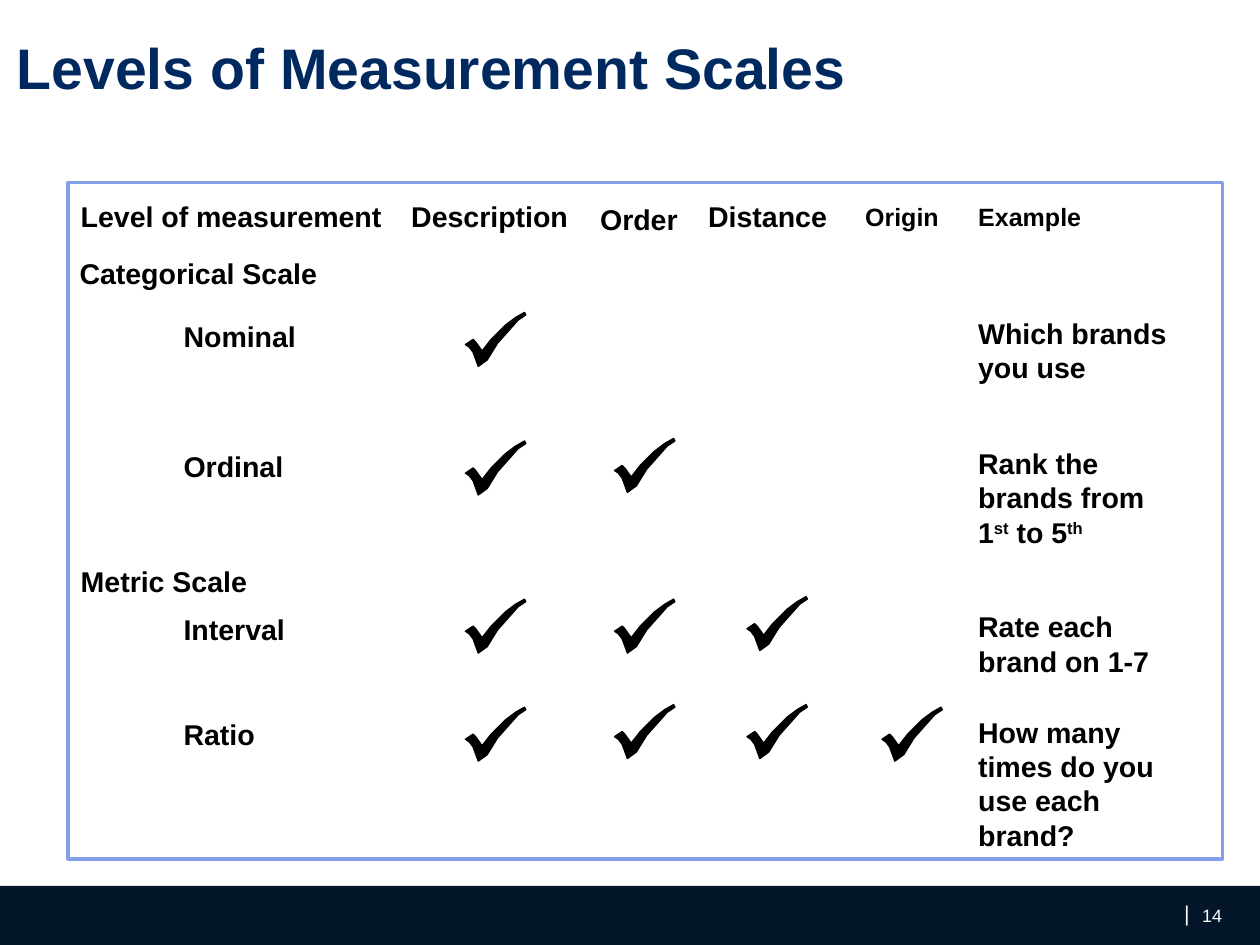
from pptx import Presentation
from pptx.dml.color import RGBColor
from pptx.enum.shapes import MSO_SHAPE
from pptx.enum.text import MSO_ANCHOR, MSO_AUTO_SIZE, PP_ALIGN
from pptx.util import Inches, Pt

RECT = MSO_SHAPE.RECTANGLE
TOP, MIDDLE = MSO_ANCHOR.TOP, MSO_ANCHOR.MIDDLE
LEFT, RIGHT = PP_ALIGN.LEFT, PP_ALIGN.RIGHT
FIXED = MSO_AUTO_SIZE.NONE

WHITE = RGBColor(0xFF, 0xFF, 0xFF)
BLACK = RGBColor(0, 0, 0)
NAVY = RGBColor(0x00, 0x29, 0x60)
INK = RGBColor(0x03, 0x16, 0x2A)
BLUE = RGBColor(0x83, 0x9F, 0xE7)

TICK = [(0, 25), (6, 21), (8, 23), (13, 30), (20, 21), (31, 10), (39, 4), (46, 0),
        (47, 2), (41, 6), (33, 15), (25, 24), (17, 37), (10, 42), (6, 31), (3, 27)]
TICK_COLS = [3.62, 4.78, 5.81, 6.86]

HEADS = [
    ("Level of measurement", 0.53, 1.5, 2.57, 16),
    ("Description", 3.1, 1.5, 1.52, 16),
    ("Order", 4.57, 1.52, 0.84, 16),
    ("Distance", 5.41, 1.5, 1.22, 16),
    ("Origin", 6.63, 1.52, 0.88, 14),
    ("Example", 7.51, 1.52, 1.15, 14),
]
GROUPS = [("Categorical Scale", 0.52, 1.94, 2.12), ("Metric Scale", 0.53, 4.34, 1.77)]
LEVELS = [
    ("Nominal", 2.43, [2.43], ["Which brands you use"], 2.41, 0.64),
    ("Ordinal", 3.44, [3.43, 3.41], ["Rank the brands from 1", "st", " to 5", "th"], 3.42, 0.91),
    ("Interval", 4.71, [4.66, 4.66, 4.64], ["Rate each brand on 1-7"], 4.69, 0.64),
    ("Ratio", 5.53, [5.5, 5.48, 5.48, 5.5], ["How many times do you use each brand?"], 5.51, 1.18),
]


def write(frame, parts, size=16, color=BLACK, bold=True, align=LEFT, anchor=TOP, pad=(0.1, 0.05)):
    frame.word_wrap = True
    frame.auto_size = FIXED
    frame.vertical_anchor = anchor
    frame.margin_left = frame.margin_right = Inches(pad[0])
    frame.margin_top = frame.margin_bottom = Inches(pad[1])
    para = frame.paragraphs[0]
    para.alignment = align
    for index, part in enumerate(parts):
        run = para.add_run()
        run.text = part
        font = run.font
        font.name, font.size, font.bold = "Arial", Pt(size), bold
        font.color.rgb = color
        if index % 2:
            run._r.get_or_add_rPr().set("baseline", "30000")


class Deck:
    def __init__(self, wide, high):
        self.file = Presentation()
        self.file.slide_width, self.file.slide_height = Inches(wide), Inches(high)
        self.slide = self.file.slides.add_slide(self.file.slide_layouts[5])
        self.shapes = self.slide.shapes

    def title(self, text, x, y, w, h):
        shape = self.shapes.title
        shape.left, shape.top, shape.width, shape.height = map(Inches, (x, y, w, h))
        write(shape.text_frame, [text], size=32, color=NAVY, pad=(0, 0))

    def text(self, parts, x, y, w, h=0.37, **style):
        box = self.shapes.add_textbox(*map(Inches, (x, y, w, h)))
        write(box.text_frame, parts, **style)

    def paint(self, shape, fill, line=None, weight=0.75):
        shape.shadow.inherit = False
        shape.fill.solid()
        shape.fill.fore_color.rgb = fill
        if line is None:
            shape.line.fill.background()
        else:
            shape.line.color.rgb = line
            shape.line.width = Pt(weight)

    def box(self, x, y, w, h, fill, line=None, weight=0.75):
        shape = self.shapes.add_shape(RECT, *map(Inches, (x, y, w, h)))
        self.paint(shape, fill, line, weight)

    def tick(self, x, y):
        path = self.shapes.build_freeform(*TICK[0], scale=Inches(0.01))
        path.add_line_segments(TICK[1:], close=True)
        self.paint(path.convert_to_shape(Inches(x), Inches(y)), BLACK, BLACK)


def main():
    deck = Deck(9.8, 7.35)
    small = {"color": WHITE, "bold": False, "pad": (0, 0)}
    deck.box(0, 6.89, 9.8, 0.46, INK)
    deck.text(["|"], 9.21, 7, 0.04, 0.2, size=12, align=RIGHT, anchor=MIDDLE, **small)
    deck.text(["14"], 9.35, 7.04, 0.21, 0.17, size=10, **small)
    deck.box(0.53, 1.42, 8.98, 5.26, WHITE, BLUE, 2)
    deck.title("Levels of Measurement Scales", 0.13, 0.25, 9.43, 0.54)
    for name, x, y, w, size in HEADS:
        deck.text([name], x, y, w, size=size)
    for name, x, y, w in GROUPS:
        deck.text([name], x, y, w)
    for name, y, ticks, sample, top, high in LEVELS:
        deck.text([name], 1.33, y, 1.77)
        for x, tick_y in zip(TICK_COLS, ticks):
            deck.tick(x, tick_y)
        deck.text(sample, 7.51, top, 1.77, high)
    deck.file.save("out.pptx")


if __name__ == "__main__":
    main()
